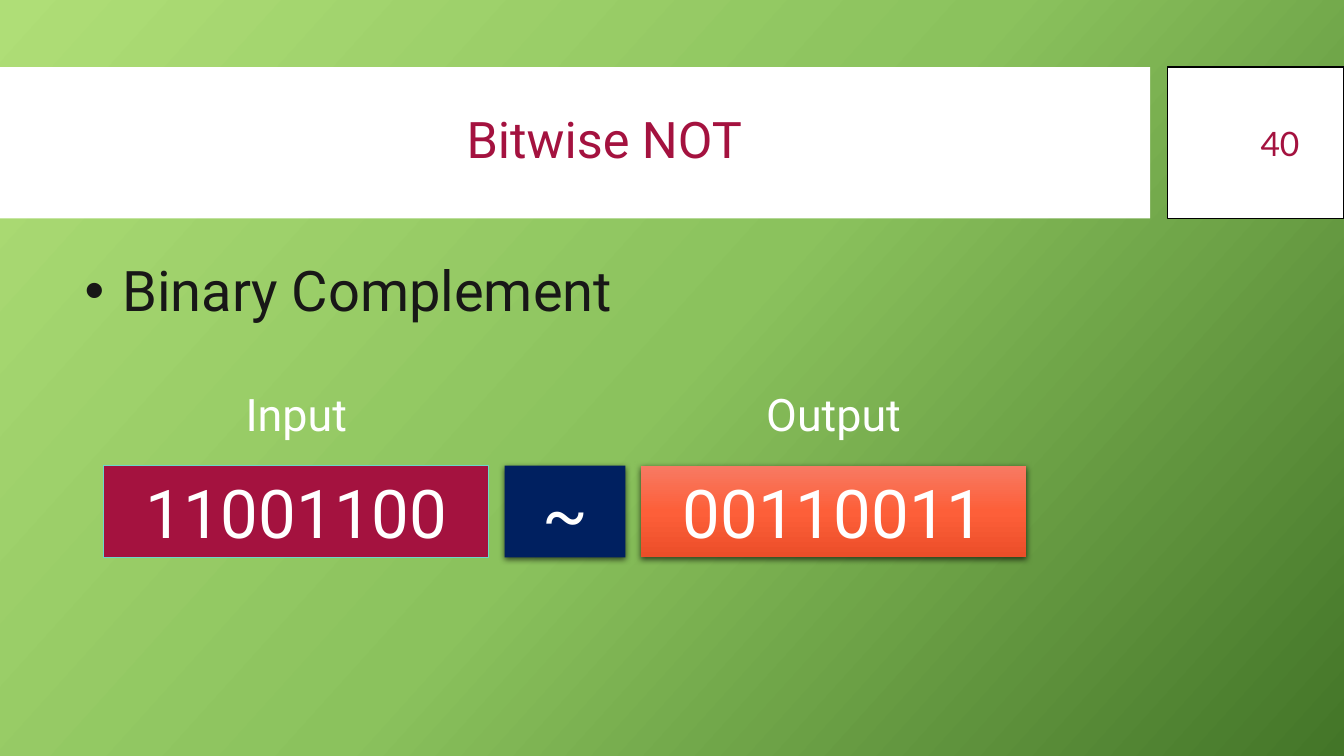
from copy import deepcopy

from lxml import etree
from pptx import Presentation
from pptx.dml.color import RGBColor
from pptx.enum.shapes import MSO_SHAPE
from pptx.enum.text import MSO_ANCHOR, MSO_AUTO_SIZE, PP_ALIGN
from pptx.oxml.ns import qn
from pptx.util import Pt

RECTANGLE = MSO_SHAPE.RECTANGLE
CENTER, RIGHT, JUSTIFY = PP_ALIGN.CENTER, PP_ALIGN.RIGHT, PP_ALIGN.JUSTIFY
TOP, MIDDLE = MSO_ANCHOR.TOP, MSO_ANCHOR.MIDDLE
FIXED, GROW = MSO_AUTO_SIZE.NONE, MSO_AUTO_SIZE.SHAPE_TO_FIT_TEXT

WHITE = RGBColor(0xFF, 0xFF, 0xFF)
BLACK = RGBColor(0x00, 0x00, 0x00)
INK = RGBColor(0x18, 0x17, 0x17)
CRIMSON = RGBColor(0xA4, 0x12, 0x3F)
TEAL = RGBColor(0x6A, 0xD8, 0xCB)
NAVY = RGBColor(0x00, 0x20, 0x60)
GREENS = (RGBColor(0xAF, 0xDE, 0x77), RGBColor(0x8B, 0xC2, 0x5D), RGBColor(0x43, 0x75, 0x28))
ORANGES = (RGBColor(0xF7, 0x7A, 0x63), RGBColor(0xFD, 0x5F, 0x39), RGBColor(0xEB, 0x4E, 0x29))

SLIDE_WIDTH, SLIDE_HEIGHT = 960, 540
BAND_TOP, BAND_HEIGHT = 48, 108
TEXT_LEFT, TEXT_WIDTH = 53.3, 756.7
BOX_LEFT, BOX_TOP, BOX_HEIGHT, BOX_GAP = 74.2, 332.6, 65.5, 11.2
VALUE_WIDTH, OPERATOR_WIDTH = 275, 86.4
LABEL_TOP, LABEL_WIDTH, LABEL_HEIGHT = 272.9, 116, 46.1


def place(shape, left, top, width, height):
    """Move and size a shape, in points."""
    shape.left, shape.top = Pt(left), Pt(top)
    shape.width, shape.height = Pt(width), Pt(height)


def write(shape, text, size, color, font="Roboto", align=CENTER, anchor=MIDDLE,
          fit=FIXED, spacing=1.0):
    """Put one formatted paragraph into a shape."""
    frame = shape.text_frame
    frame.text = text
    frame.word_wrap = True
    frame.auto_size = fit
    frame.vertical_anchor = anchor
    paragraph = frame.paragraphs[0]
    paragraph.alignment = align
    paragraph.line_spacing = spacing
    paragraph.space_before = Pt(0)
    run_font = paragraph.runs[0].font
    run_font.name, run_font.size, run_font.color.rgb = font, Pt(size), color


def fill_gradient(fill, owner, colors, clockwise_angle):
    """Give a fill evenly spaced colour stops."""
    fill.gradient()
    stop_list = owner.find(".//" + qn("a:gsLst"))
    for _ in colors[2:]:
        stop_list.append(deepcopy(stop_list[-1]))
    for index, (stop, color) in enumerate(zip(fill.gradient_stops, colors)):
        stop.color.rgb = color
        stop.position = index / (len(colors) - 1)
    fill.gradient_angle = 360 - clockwise_angle


def add_shadow(shape):
    """Cast a soft black shadow straight down."""
    effects = shape.element.spPr.find(qn("a:effectLst"))
    shadow = etree.SubElement(effects, qn("a:outerShdw"), blurRad=str(Pt(4.5)),
                              dist=str(Pt(1.5)), dir="5400000", algn="ctr", rotWithShape="0")
    color = etree.SubElement(shadow, qn("a:srgbClr"), val=str(BLACK))
    etree.SubElement(color, qn("a:alpha"), val="63000")


def add_box(slide, left, top, width, height, color, line=None, line_width=1):
    """Add a rectangle with a plain or gradient fill."""
    box = slide.shapes.add_shape(RECTANGLE, Pt(left), Pt(top), Pt(width), Pt(height))
    box.shadow.inherit = False
    if isinstance(color, RGBColor):
        box.fill.solid()
        box.fill.fore_color.rgb = color
    else:
        fill_gradient(box.fill, box.element, color, 90)
    if line is None:
        box.line.fill.background()
    else:
        box.line.color.rgb = line
        box.line.width = Pt(line_width)
    return box


def add_label(slide, text, left, top, width, height, **text_format):
    """Add a text box."""
    label = slide.shapes.add_textbox(Pt(left), Pt(top), Pt(width), Pt(height))
    write(label, text, **text_format)


def add_header(slide):
    """Build the title band and the slide number panel."""
    title = slide.shapes.title
    title_band = add_box(slide, 0, BAND_TOP, 821.5, BAND_HEIGHT, WHITE)
    number_panel = add_box(slide, 833.8, BAND_TOP, 126.2, BAND_HEIGHT, WHITE, BLACK)
    for panel in (title_band, number_panel):
        title.element.addprevious(panel.element)
    place(title, TEXT_LEFT, 59, TEXT_WIDTH, 85)
    write(title, "Bitwise NOT", 36, CRIMSON, spacing=0.9)
    add_label(slide, "40", 844.6, 59, 90.7, 85.7,
              size=24, color=CRIMSON, font="Lato", align=RIGHT)


def add_subtitle(slide):
    """Set the body text without a bullet."""
    body = slide.placeholders[1]
    place(body, TEXT_LEFT, 184.3, TEXT_WIDTH, 72)
    body.text_frame.text = ""
    properties = body.text_frame.paragraphs[0]._p.get_or_add_pPr()
    properties.set("marL", "0")
    properties.set("indent", "0")
    etree.SubElement(properties, qn("a:buNone"))
    write(body, "Binary Complement", 40, INK, align=JUSTIFY, anchor=TOP, spacing=0.9)


def add_operation(slide):
    """Lay out input, operator and output in a row."""
    steps = (
        ("Input", "11001100", VALUE_WIDTH, CRIMSON, TEAL),
        (None, "~", OPERATOR_WIDTH, NAVY, None),
        ("Output", "00110011", VALUE_WIDTH, ORANGES, None),
    )
    left = BOX_LEFT
    for caption, value, width, color, line in steps:
        box = add_box(slide, left, BOX_TOP, width, BOX_HEIGHT, color, line, 0.75)
        write(box, value, 48, WHITE, fit=GROW)
        if line is None:
            add_shadow(box)
        if caption:
            add_label(slide, caption, left + (width - LABEL_WIDTH) / 2, LABEL_TOP,
                      LABEL_WIDTH, LABEL_HEIGHT, size=32, color=WHITE, anchor=TOP, fit=GROW)
        left += width + BOX_GAP


def main():
    """Build and save the slide."""
    deck = Presentation()
    deck.slide_width, deck.slide_height = Pt(SLIDE_WIDTH), Pt(SLIDE_HEIGHT)
    slide = deck.slides.add_slide(deck.slide_layouts[1])
    fill_gradient(slide.background.fill, slide.element, GREENS, 42)
    add_header(slide)
    add_subtitle(slide)
    add_operation(slide)
    deck.save("out.pptx")


if __name__ == "__main__":
    main()
